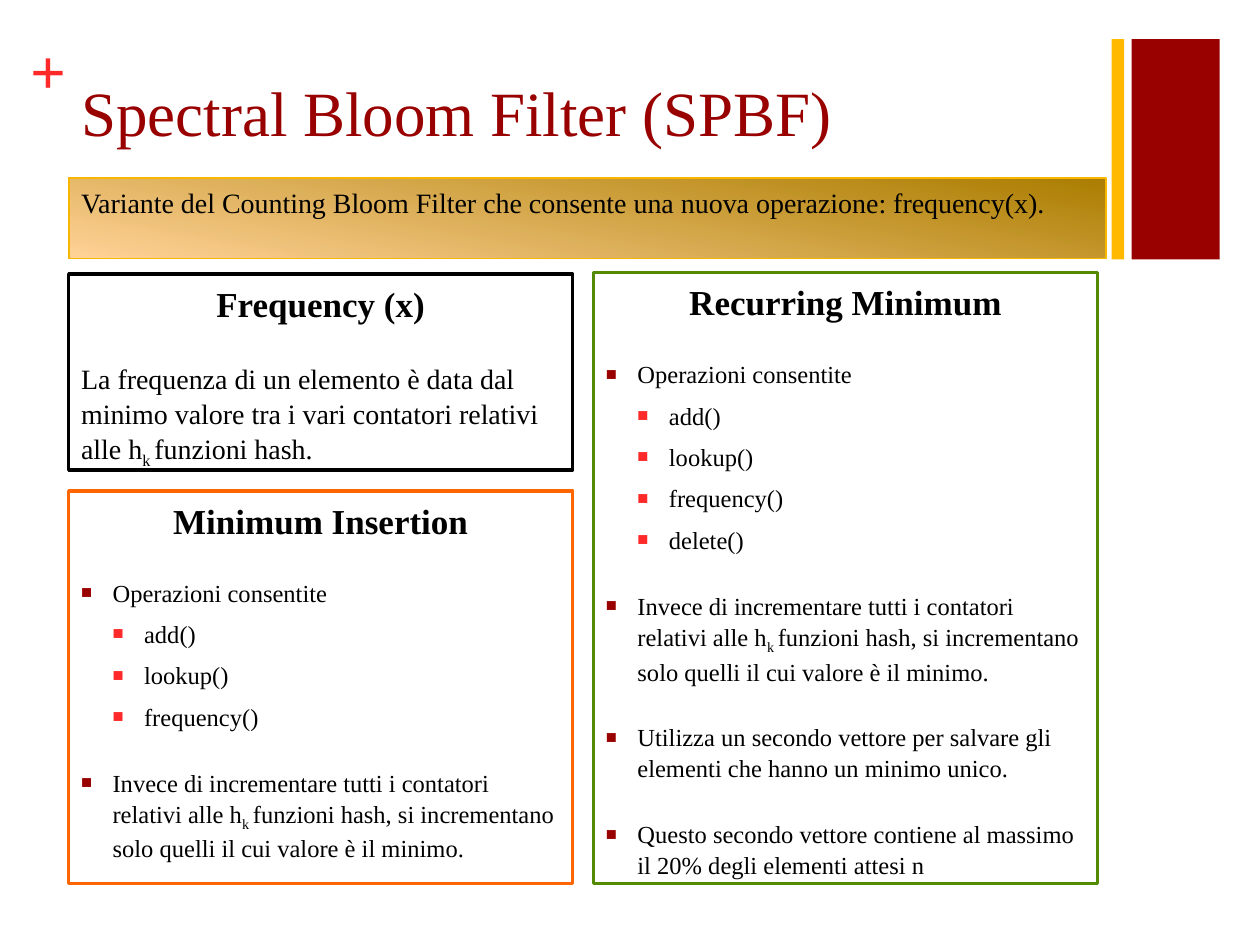
from dataclasses import dataclass

from pptx import Presentation
from pptx.dml.color import RGBColor as RGB
from pptx.enum.shapes import MSO_SHAPE as Shape
from pptx.enum.text import MSO_ANCHOR as Anchor, MSO_AUTO_SIZE as AutoSize, PP_ALIGN as Align
from pptx.oxml import parse_xml
from pptx.oxml.ns import nsdecls
from pptx.util import Pt


@dataclass(frozen=True)
class Theme:
    font: str = "Times New Roman"
    title_size: int = 36
    head_size: int = 20
    body_size: int = 16
    list_size: int = 14
    black: str = "000000"
    white: str = "FFFFFF"
    dark_red: str = "990000"
    red: str = "FF2929"
    yellow: str = "FFBA00"
    orange: str = "FF6600"
    green: str = "528A02"
    gold_line: str = "F9B600"
    gold_dark: str = "AB7D00"
    gold_light: str = "FFD297"
    line_spacing: float = 1.05
    wide_gap: int = 20
    tight_gap: int = 6
    indent: int = 18


@dataclass(frozen=True)
class Box:
    left: float
    top: float
    width: float
    height: float


@dataclass(frozen=True)
class Run:
    text: str
    sub: bool = False


@dataclass(frozen=True)
class Para:
    runs: tuple[Run, ...]
    size: int
    level: int | None = None


@dataclass(frozen=True)
class Panel:
    box: Box
    color: str
    heading: str
    paras: tuple[Para, ...]


T = Theme()


def add_run(p, text: str, size: int, color: str = T.black, bold: bool = False, sub: bool = False):
    r = p.add_run()
    r.text = text
    r.font.name = T.font
    r.font.size = Pt(size)
    r.font.bold = bold
    r.font.color.rgb = RGB.from_string(color)
    if sub:
        r._r.get_or_add_rPr().set("baseline", "-25000")


def add_rect(slide, box: Box, fill: str | None = None, line: str | None = None, weight: float = 2):
    s = slide.shapes.add_shape(
        Shape.RECTANGLE, Pt(box.left), Pt(box.top), Pt(box.width), Pt(box.height)
    )
    s.shadow.inherit = False
    if fill:
        s.fill.solid()
        s.fill.fore_color.rgb = RGB.from_string(fill)
    if line:
        s.line.color.rgb = RGB.from_string(line)
        s.line.width = Pt(weight)
    else:
        s.line.fill.background()
    s.text_frame.word_wrap = True
    s.text_frame.vertical_anchor = Anchor.TOP
    return s


def add_bullet(p, level: int):
    p.level = level
    pPr = p._p.get_or_add_pPr()
    pPr.set("marL", str(Pt(T.indent * (level + 1))))
    pPr.set("indent", str(-Pt(T.indent)))
    color = T.red if level else T.dark_red
    for tag in (
        f'<a:buClr {nsdecls("a")}><a:srgbClr val="{color}"/></a:buClr>',
        f'<a:buSzPct {nsdecls("a")} val="75000"/>',
        f'<a:buFont {nsdecls("a")} typeface="{T.font}"/>',
        f'<a:buChar {nsdecls("a")} char="■"/>',
    ):
        pPr.append(parse_xml(tag))


def format_para(p, align: Align = Align.LEFT, gap: int = T.wide_gap):
    p.alignment = align
    p.line_spacing = T.line_spacing
    p.space_before = Pt(gap)


def add_panel(slide, panel: Panel):
    tf = add_rect(slide, panel.box, T.white, panel.color).text_frame
    p = tf.paragraphs[0]
    format_para(p, Align.CENTER)
    add_run(p, panel.heading, T.head_size, bold=True)
    for para in panel.paras:
        p = tf.add_paragraph()
        format_para(p, gap=T.tight_gap if para.level else T.wide_gap)
        if para.level is not None:
            add_bullet(p, para.level)
        for run in para.runs:
            add_run(p, run.text, para.size, sub=run.sub)


def add_banner(slide, box: Box, text: str):
    s = add_rect(slide, box, line=T.gold_line, weight=1)
    s.fill.gradient()
    s.fill.gradient_angle = 260
    for stop, color in zip(s.fill.gradient_stops, (T.gold_dark, T.gold_light)):
        stop.color.rgb = RGB.from_string(color)
    p = s.text_frame.paragraphs[0]
    format_para(p)
    add_run(p, text, T.body_size)


def add_plus(slide, box: Box):
    s = slide.shapes.add_textbox(Pt(box.left), Pt(box.top), Pt(box.width), Pt(box.height))
    tf = s.text_frame
    tf.margin_left = tf.margin_right = tf.margin_top = tf.margin_bottom = 0
    tf.word_wrap = True
    add_run(tf.paragraphs[0], "+", T.title_size, T.red, bold=True)


def set_title(slide, box: Box, text: str):
    s = slide.shapes.title
    s.left, s.top, s.width, s.height = (
        Pt(v) for v in (box.left, box.top, box.width, box.height)
    )
    tf = s.text_frame
    tf.auto_size = AutoSize.NONE
    tf.word_wrap = True
    tf.vertical_anchor = Anchor.TOP
    p = tf.paragraphs[0]
    p.alignment = Align.LEFT
    add_run(p, text, T.title_size, T.dark_red)


def bullet(*runs: Run, level: int = 0) -> Para:
    return Para(runs, T.list_size, level)


def operations(*names: str) -> tuple[Para, ...]:
    items = (bullet(Run(f"{name}()"), level=1) for name in names)
    return (bullet(Run("Operazioni consentite")), *items)


def main():
    prs = Presentation()
    prs.slide_width, prs.slide_height = Pt(720), Pt(540)
    slide = prs.slides.add_slide(prs.slide_layouts[5])

    sub_k = Run("k ", sub=True)
    increment = bullet(
        Run("Invece di incrementare tutti i contatori relativi alle h"),
        sub_k,
        Run("funzioni hash, si incrementano solo quelli il cui valore è il minimo."),
    )
    frequency = Para((
        Run("La frequenza di un elemento è data dal minimo valore tra i vari contatori relativi alle h"),
        sub_k,
        Run("funzioni hash."),
    ), T.body_size)
    panels = (
        Panel(Box(39.3, 280.5, 288, 224.5), T.orange, "Minimum Insertion",
              (*operations("add", "lookup", "frequency"), increment)),
        Panel(Box(339.2, 155.7, 288, 349.2), T.green, "Recurring Minimum",
              (*operations("add", "lookup", "frequency", "delete"), increment,
               bullet(Run("Utilizza un secondo vettore per salvare gli elementi che hanno un minimo unico.")),
               bullet(Run("Questo secondo vettore contiene al massimo il 20% degli elementi attesi n")))),
        Panel(Box(39.3, 156.7, 288, 111.8), T.black, "Frequency (x)", (frequency,)),
    )

    add_rect(slide, Box(646.6, 22.3, 50.4, 126), T.dark_red)
    add_plus(slide, Box(17.3, 18, 20.9, 43.9))
    add_rect(slide, Box(635.2, 22.3, 7.2, 126), T.yellow)
    set_title(slide, Box(39.3, 38.2, 594.7, 87.8), "Spectral Bloom Filter (SPBF)")
    add_banner(slide, Box(39.3, 101.7, 592.6, 46.1),
               "Variante del Counting Bloom Filter che consente una nuova operazione: frequency(x).")
    for panel in panels:
        add_panel(slide, panel)
    prs.save("out.pptx")


if __name__ == "__main__":
    main()
